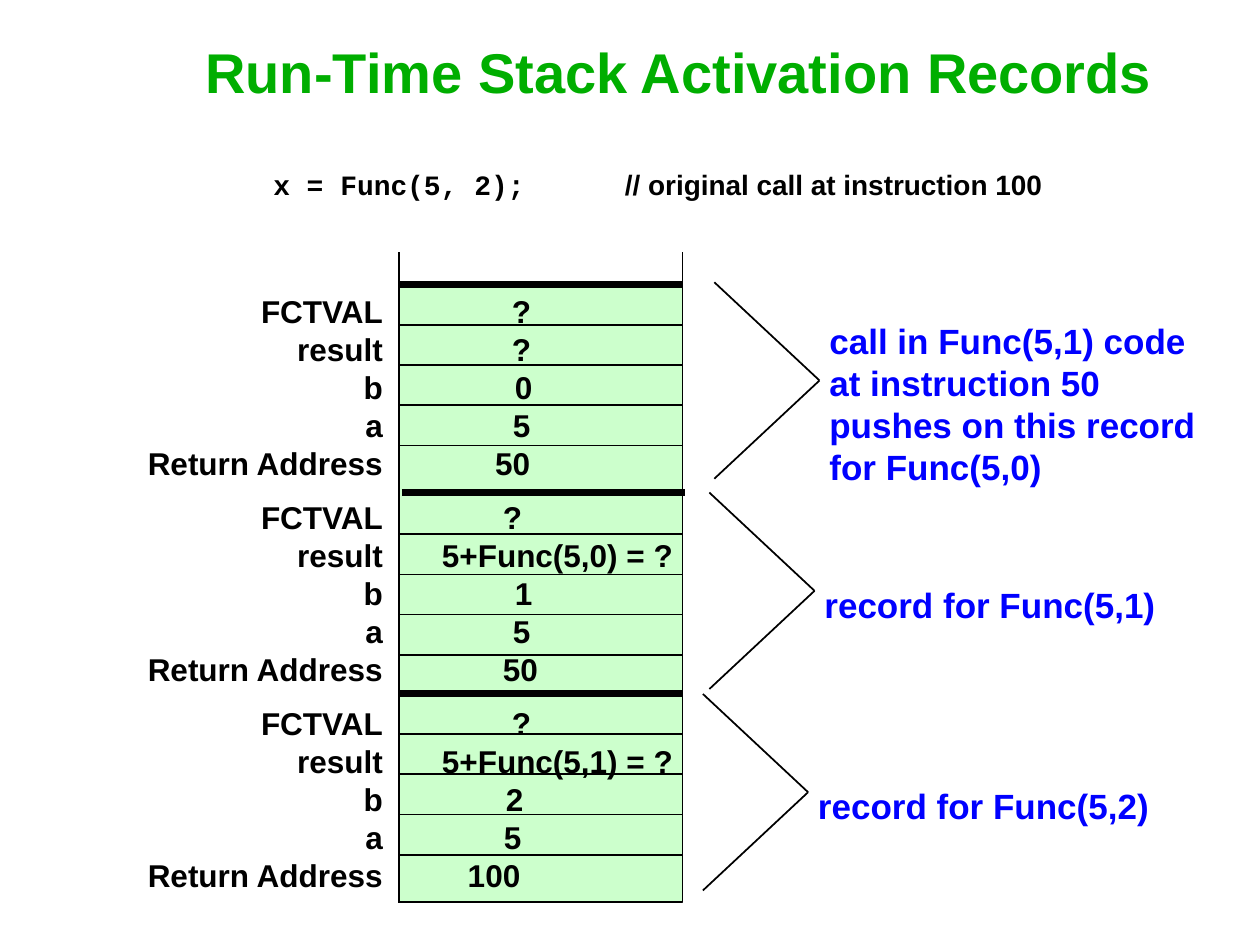
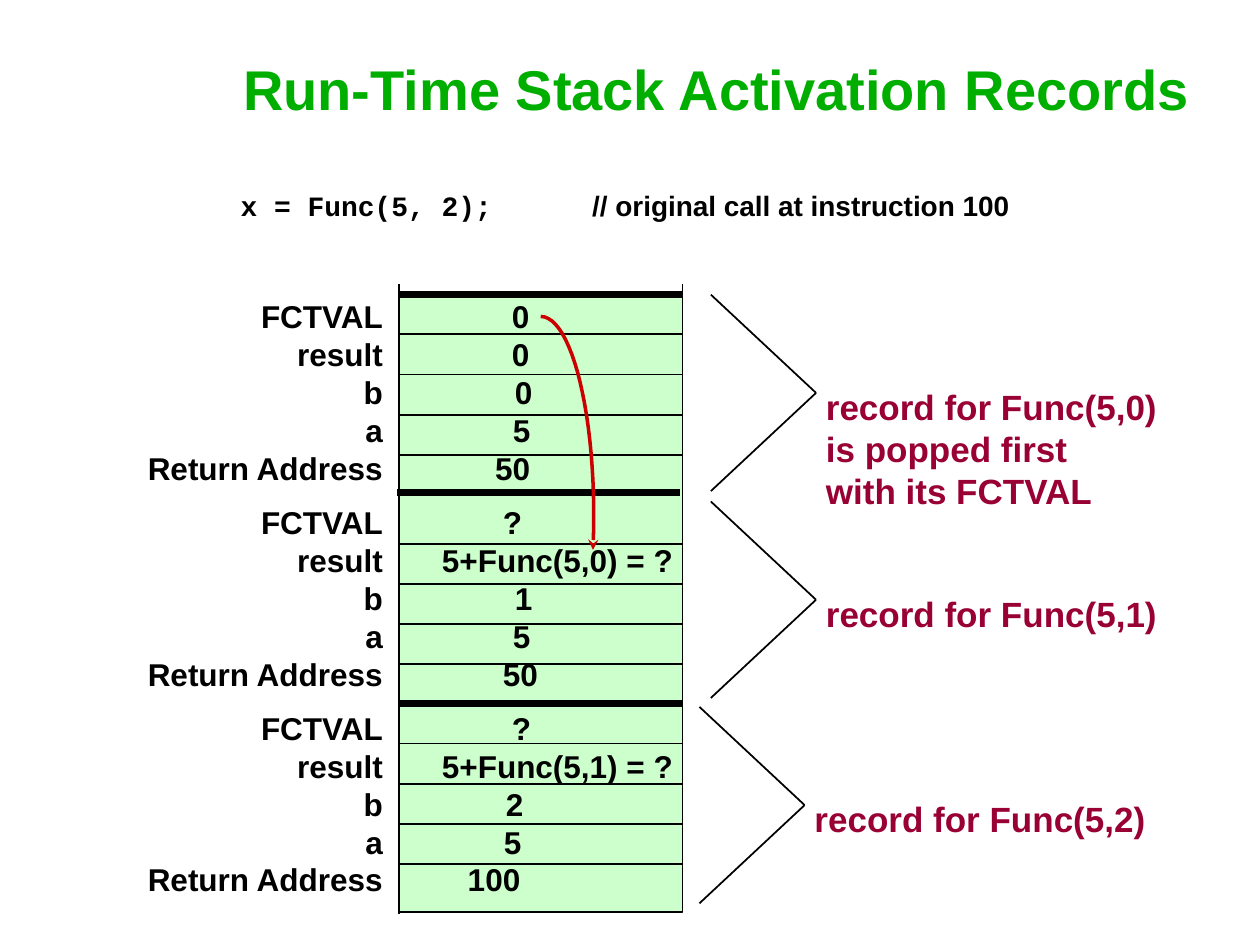
"""Builds two slides that show the run-time stack of a recursive function."""
import math

from lxml import etree
from pptx import Presentation
from pptx import util as u
from pptx.dml.color import RGBColor
from pptx.enum import shapes
from pptx.oxml.ns import qn

Cm, Pt = u.Cm, u.Pt
COLORS = {"title": "00AE00", "ink": "000000", "cell": "CCFFCC",
          "push": "0000FF", "pop": "990033", "arrow": "CC0000"}
FONT, CODE_FONT = "Arial", "Courier New"
LEFT, WIDTH = 8.05, 5.71
RIGHT = LEFT + WIDTH
ROW = 0.81
STACK_HEIGHT = 12.45
RECORD_OFFSETS = (0, 4.22, 8.25)
MIDDLE_DIVIDER = 9.93
CHEVRON_WIDTH, CHEVRON_HEIGHT = 2.12, 3.96
NAME_TAB = 4.75
NAMES = ("FCTVAL", "result", "b", "a", "Return Address")
LOWER_VALUES = [("?", 7.17), ("5+Func(5,0) = ?", 5.94), ("1", 7.41), ("5", 7.37), ("50", 7.17),
                ("?", 7.35), ("5+Func(5,1) = ?", 5.94), ("2", 7.23), ("5", 7.19), ("100", 6.46)]

SLIDES = [
    {"title": (3.89, 0.64), "code": (5.26, 3.25), "top": 5.74, "text_top": 5.77,
     "walls": (5.08, 18.21, 17.15), "divider_shift": 0.05, "color": "push", "fctval": "?",
     "notes": [(14.4, 5.69, -1.35, ["call in Func(5,1) code", "at instruction 50",
                                    "pushes on this record", "for Func(5,0)"]),
               (14.3, 9.93, -0.27, ["record for Func(5,1)"]),
               (14.17, 13.99, -0.27, ["record for Func(5,2)"])]},
    {"title": (4.65, 0.97), "code": (4.6, 3.68), "top": 5.93, "text_top": 5.87,
     "walls": (5.72, 18.42, 18.16), "divider_shift": -0.05, "color": "pop", "fctval": "0",
     "notes": [(14.33, 5.94, -0.27, ["record for Func(5,0)", "is popped first",
                                     "with its FCTVAL"]),
               (14.33, 10.11, -0.27, ["record for Func(5,1)"]),
               (14.1, 14.25, -0.27, ["record for Func(5,2)"])]},
]


def draw_line(s, x1, y1, x2, y2, weight=1):
    """Draw a plain black line between two points in centimetres."""
    c = s.shapes.add_connector(shapes.MSO_CONNECTOR.STRAIGHT, Cm(x1), Cm(y1), Cm(x2), Cm(y2))
    c.line.color.rgb = RGBColor.from_string(COLORS["ink"])
    c.line.width = Pt(weight)
    etree.SubElement(c._element.spPr, qn("a:effectLst"))


def add_text(s, x, y, w, h, lines, size, color, spacing=None, tabs=None):
    """Write bold lines, each with its own list of (alignment, position) tab stops."""
    tf = s.shapes.add_textbox(Cm(x), Cm(y), Cm(w), Cm(h)).text_frame
    tf.word_wrap = True
    tf.text = "\n".join(lines)
    for i, p in enumerate(tf.paragraphs):
        if spacing:
            p.line_spacing = Pt(spacing)
        for r in p.runs:
            r.font.name, r.font.size, r.font.bold = FONT, Pt(size), True
            r.font.color.rgb = RGBColor.from_string(COLORS[color])
        if tabs:
            tab_list = etree.SubElement(p._p.get_or_add_pPr(), qn("a:tabLst"))
            for align, pos in tabs[i]:
                etree.SubElement(tab_list, qn("a:tab"), pos=str(Cm(pos)), algn=align)
    return tf


prs = Presentation()
prs.slide_width, prs.slide_height = Cm(25.4), Cm(19.05)

for data in SLIDES:
    s = prs.slides.add_slide(prs.slide_layouts[6])
    top = data["top"]

    sp = s.shapes.add_shape(shapes.MSO_SHAPE.RECTANGLE, Cm(LEFT), Cm(top), Cm(WIDTH), Cm(STACK_HEIGHT))
    sp.shadow.inherit = False
    sp.fill.solid()
    sp.fill.fore_color.rgb = RGBColor.from_string(COLORS["cell"])
    sp.line.color.rgb = RGBColor.from_string(COLORS["ink"])
    sp.line.width = Pt(1)

    for offset in RECORD_OFFSETS:
        for row in range(1, len(NAMES)):
            y = top + offset + row * ROW
            draw_line(s, LEFT, y, RIGHT, y)
    for y, shift in ((top, 0), (MIDDLE_DIVIDER, data["divider_shift"]), (top + RECORD_OFFSETS[2], 0)):
        draw_line(s, LEFT + shift, y, RIGHT + shift, y, 4)

    wall_top, left_end, right_end = data["walls"]
    draw_line(s, LEFT, wall_top, LEFT, left_end)
    draw_line(s, RIGHT, wall_top, RIGHT, right_end)

    fctval = data["fctval"]
    values = [(fctval, 7.35), (fctval, 7.35), ("0", 7.41), ("5", 7.37), ("50", 7.01)] + LOWER_VALUES
    rows = [f"\t{name}\t{value}" for name, (value, _) in zip(NAMES * 3, values)]
    tabs = [[("r", NAME_TAB), ("l", x)] for _, x in values]
    tf = add_text(s, 2.72, data["text_top"], 11.89, 12.37, rows, 18, "ink", 21.6, tabs)
    for first in (5, 10):
        tf.paragraphs[first].space_before = Pt(9.7)

    for x, y, text_shift, lines in data["notes"]:
        tip, middle = x + CHEVRON_WIDTH, y + CHEVRON_HEIGHT / 2
        draw_line(s, x, y, tip, middle)
        draw_line(s, x, y + CHEVRON_HEIGHT, tip, middle)
        add_text(s, tip - 0.05, middle + text_shift, 8.3, 0.25 + 0.85 * len(lines),
                 lines, 20, data["color"], 24)

    x, y = data["code"]
    tf = add_text(s, x, y, 17, 1, ["x = Func(5, 2);"], 16, "ink", tabs=[[("l", 7.09)]])
    p = tf.paragraphs[0]
    p.runs[0].font.name = CODE_FONT
    r = p.add_run()
    r.text = "\t// original call at instruction 100"
    r.font.name, r.font.size, r.font.bold = FONT, Pt(16), True
    r.font.color.rgb = RGBColor.from_string(COLORS["ink"])

    x, y = data["title"]
    add_text(s, x, y, 20.3, 1.6, ["Run-Time Stack Activation Records"], 32, "title")

angles = [math.radians(a) for a in range(0, 101, 4)]
points = [(Cm(10.9 + 1.07 * math.sin(a)), Cm(10.39 - 4.01 * math.cos(a))) for a in angles]
fb = s.shapes.build_freeform(*points[0])
fb.add_line_segments(points[1:], close=False)
sp = fb.convert_to_shape()
sp.shadow.inherit = False
sp.fill.background()
sp.line.color.rgb = RGBColor.from_string(COLORS["arrow"])
sp.line.width = Pt(2)
etree.SubElement(sp.line._get_or_add_ln(), qn("a:tailEnd"), type="stealth")

prs.save("out.pptx")
